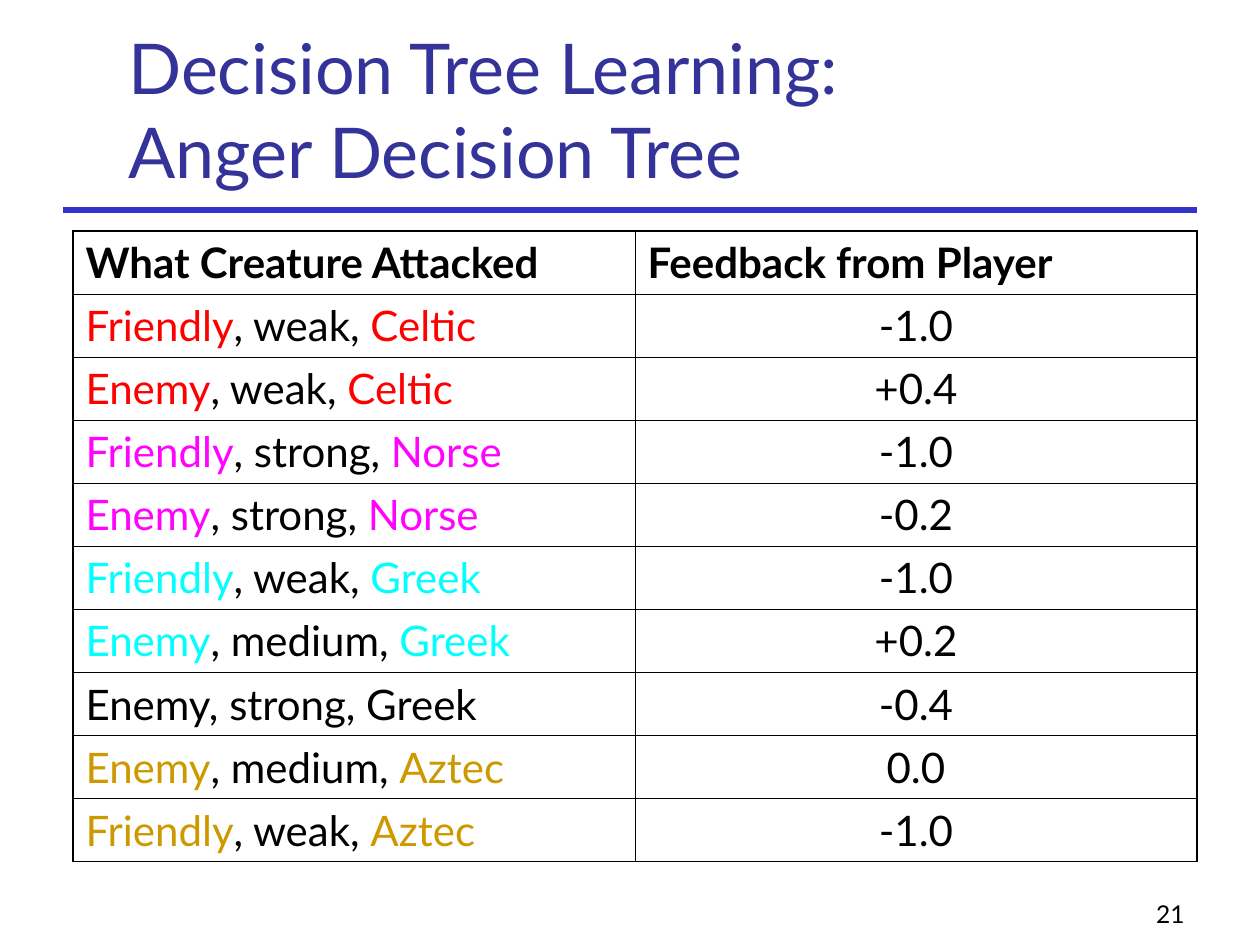
import pptx
import pptx.dml.color
import pptx.enum.shapes
import pptx.enum.text
import pptx.oxml
import pptx.oxml.ns
import pptx.util

PX = 914400 // 126
FONT = "Lato"
COLORS = {
    "title": "333399",
    "rule": "3333CC",
    "text": "000000",
    "border": "000000",
    "red": "FF0000",
    "magenta": "FF03FF",
    "cyan": "00FFFF",
    "gold": "CC9900",
}
OUTER, INNER = 1.08, 0.45
HEADINGS = ("What Creature Attacked", "Feedback from Player")
ATTACKS = [
    ("Friendly", "weak", "Celtic", "-1.0", "red"),
    ("Enemy", "weak", "Celtic", "+0.4", "red"),
    ("Friendly", "strong", "Norse", "-1.0", "magenta"),
    ("Enemy", "strong", "Norse", "-0.2", "magenta"),
    ("Friendly", "weak", "Greek", "-1.0", "cyan"),
    ("Enemy", "medium", "Greek", "+0.2", "cyan"),
    ("Enemy", "strong", "Greek", "-0.4", "text"),
    ("Enemy", "medium", "Aztec", "0.0", "gold"),
    ("Friendly", "weak", "Aztec", "-1.0", "gold"),
]
ALIGN = pptx.enum.text.PP_ALIGN


def px(length):
    return pptx.util.Emu(length * PX)


def rgb(name):
    return pptx.dml.color.RGBColor.from_string(COLORS[name])


def style_run(run, size, color="text", bold=False):
    run.font.name = FONT
    run.font.size = pptx.util.Pt(size)
    run.font.bold = bold
    run.font.color.rgb = rgb(color)


def add_label(slide, text, box, size, color, align):
    frame = slide.shapes.add_textbox(*map(px, box)).text_frame
    frame.word_wrap = True
    frame.vertical_anchor = pptx.enum.text.MSO_ANCHOR.BOTTOM
    paragraph = frame.paragraphs[0]
    paragraph.text = text
    paragraph.alignment = align
    for run in paragraph.runs:
        style_run(run, size, color)


def add_rule(slide, left, right, y):
    rule = slide.shapes.add_connector(
        pptx.enum.shapes.MSO_CONNECTOR.STRAIGHT, px(left), px(y), px(right), px(y))
    rule.line.color.rgb = rgb("rule")
    rule.line.width = pptx.util.Pt(3)
    properties = rule._element.spPr
    properties.append(properties.makeelement(pptx.oxml.ns.qn("a:effectLst"), {}))


def set_borders(cell, widths):
    properties = cell._tc.get_or_add_tcPr()
    for side, width in widths.items():
        properties.append(pptx.oxml.parse_xml(
            f'<a:ln{side} {pptx.oxml.ns.nsdecls("a")} w="{pptx.util.Pt(width)}">'
            f'<a:solidFill><a:srgbClr val="{COLORS["border"]}"/></a:solidFill>'
            f'</a:ln{side}>'))


def fill_cell(cell, parts, align=ALIGN.LEFT, bold=False):
    paragraph = cell.text_frame.paragraphs[0]
    paragraph.alignment = align
    paragraph.space_before = pptx.util.Pt(6)
    for text, color in parts:
        run = paragraph.add_run()
        run.text = text
        style_run(run, 24, color, bold)


def add_feedback_table(slide):
    row_count = len(ATTACKS) + 1
    table = slide.shapes.add_table(
        row_count, 2, px(73), px(231), px(1124), px(63 * row_count)).table
    table.first_row = False
    table.horz_banding = False

    for column, heading in enumerate(HEADINGS):
        fill_cell(table.cell(0, column), [(heading, "text")], bold=True)
    for row, (side, strength, culture, feedback, color) in enumerate(ATTACKS, 1):
        creature = [(side, color), (f", {strength}, ", "text"), (culture, color)]
        fill_cell(table.cell(row, 0), creature)
        fill_cell(table.cell(row, 1), [(feedback, "text")], ALIGN.CENTER)

    for row in range(row_count):
        for column in range(2):
            cell = table.cell(row, column)
            set_borders(cell, {
                "L": OUTER if column == 0 else INNER,
                "R": OUTER if column == 1 else INNER,
                "T": OUTER if row == 0 else INNER,
                "B": OUTER if row == row_count - 1 else INNER,
            })
            cell.fill.background()


def main():
    deck = pptx.Presentation()
    deck.slide_width = pptx.util.Inches(10)
    deck.slide_height = pptx.util.Inches(7.5)
    slide = deck.slides.add_slide(deck.slide_layouts[6])
    add_rule(slide, 63, 1197, 210)
    add_label(slide, "21", (935, 872, 262, 63), 14, "text", ALIGN.RIGHT)
    add_label(slide, "Decision Tree Learning:\vAnger Decision Tree",
              (116, 42, 1074, 157), 40, "title", ALIGN.LEFT)
    add_feedback_table(slide)
    deck.save("out.pptx")


if __name__ == "__main__":
    main()
